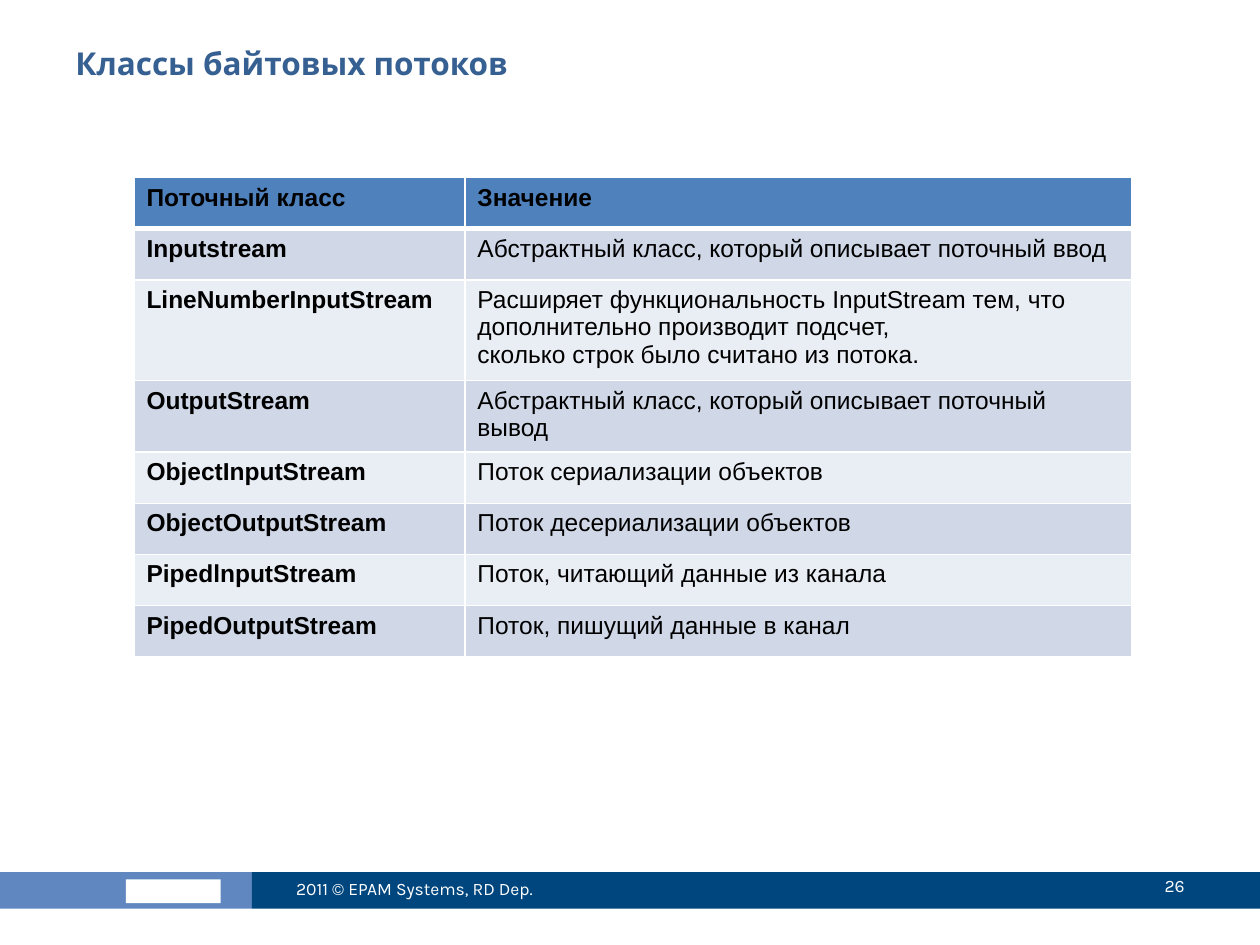
from lxml import etree
from pptx import Presentation
from pptx import util as u
from pptx.dml.color import RGBColor
from pptx.enum import shapes, text
from pptx.oxml import ns

WHITE, NAVY, BLUE = "FFFFFF", "00467E", "6087BF"
HEADER, BANDS = "4F81BD", ("D0D8E8", "E9EDF4")
ROWS = [
    ("Поточный класс", "Значение"),
    ("Inputstream", "Абстрактный класс, который описывает поточный ввод"),
    ("LineNumberInputStream",
     "Расширяет функциональность InputStream тем, что дополнительно "
     "производит подсчет,\nсколько строк было считано из потока."),
    ("OutputStream", "Абстрактный класс, который описывает поточный вывод"),
    ("ObjectInputStream", "Поток сериализации объектов"),
    ("ObjectOutputStream", "Поток десериализации объектов"),
    ("PipedlnputStream", "Поток, читающий данные из канала"),
    ("PipedOutputStream", "Поток, пишущий данные в канал"),
]


def rgb(value):
    return RGBColor.from_string(value)


def write(tf, content, size=10, font="Karla", color=WHITE, bold=False,
          align=text.PP_ALIGN.LEFT):
    tf.word_wrap = True
    for i, line in enumerate(content.split("\n")):
        p = tf.add_paragraph() if i else tf.paragraphs[0]
        p.alignment = align
        r = p.add_run()
        r.text = line
        r.font.size = u.Pt(size)
        r.font.name = font
        r.font.bold = bold
        r.font.color.rgb = rgb(color)


def add_text(s, box, content, anchor=text.MSO_ANCHOR.MIDDLE, **fmt):
    tf = s.shapes.add_textbox(*map(u.Cm, box)).text_frame
    tf.vertical_anchor = anchor
    write(tf, content, **fmt)


def add_bar(s, box, color):
    sp = s.shapes.add_shape(shapes.MSO_SHAPE.RECTANGLE, *map(u.Cm, box))
    sp.shadow.inherit = False
    sp.fill.solid()
    sp.fill.fore_color.rgb = rgb(color)
    sp.line.fill.background()


def set_borders(cell, **widths):
    tc_pr = cell._tc.get_or_add_tcPr()
    for side in "LRTB":
        ln = etree.SubElement(tc_pr, ns.qn(f"a:ln{side}"),
                              w=str(u.Pt(widths.get(side, 1))))
        fill = etree.SubElement(ln, ns.qn("a:solidFill"))
        etree.SubElement(fill, ns.qn("a:srgbClr"), val=WHITE)


def add_title(s, box):
    add_text(s, box, "Классы байтовых потоков", anchor=text.MSO_ANCHOR.TOP,
             size=18, color="376092", bold=True)


def add_class_table(s, box):
    left, top, width, row_height = box
    table = s.shapes.add_table(len(ROWS), 2, u.Cm(left), u.Cm(top), u.Cm(width),
                               u.Cm(row_height * len(ROWS))).table
    name_width = 6.67
    table.columns[0].width = u.Cm(name_width)
    table.columns[1].width = u.Cm(width - name_width)
    for i, row in enumerate(ROWS):
        table.rows[i].height = u.Cm(row_height)
        for j, content in enumerate(row):
            cell = table.cell(i, j)
            set_borders(cell, T=3 if i == 1 else 1, B=3 if i == 0 else 1)
            cell.fill.solid()
            cell.fill.fore_color.rgb = rgb(BANDS[(i - 1) % 2] if i else HEADER)
            write(cell.text_frame, content, size=14, font="Arial",
                  color="000000", bold=i == 0 or j == 0)


def add_footer(s, box):
    left, top, width, height = box
    brand_width = 5.08
    add_bar(s, (left, top, brand_width, height), BLUE)
    add_bar(s, (left + 2.54, top + 0.15, 1.91, 0.48), WHITE)
    add_bar(s, (left + brand_width, top, width - brand_width, height), NAVY)
    add_text(s, (left + 5.72, top - 0.18, 6.78, 1.02), "2011 © EPAM Systems, RD Dep.")
    add_text(s, (left + 21.39, top - 0.23, 2.74, 1.02), "26",
             align=text.PP_ALIGN.RIGHT)


def main():
    prs = Presentation()
    prs.slide_width, prs.slide_height = u.Cm(25.4), u.Cm(19.05)
    s = prs.slides.add_slide(prs.slide_layouts[6])
    add_footer(s, (0, 17.58, 25.4, 0.74))
    add_title(s, (1.27, 0.76, 22.86, 1.98))
    add_class_table(s, (2.7, 3.58, 20.11, 1.03))
    prs.save("out.pptx")


if __name__ == "__main__":
    main()
